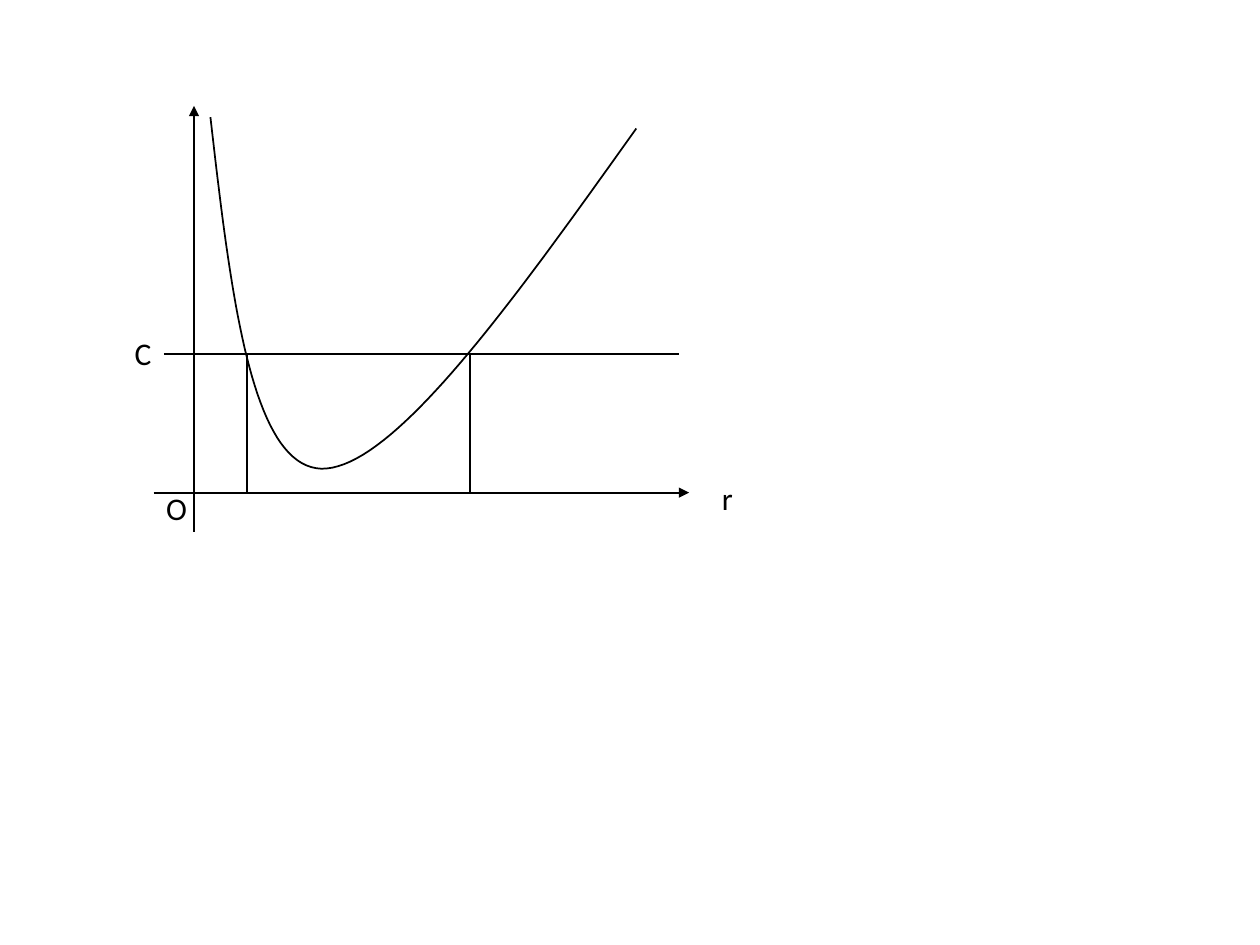
"""Draw a convex curve over r, cut at two points by the level C."""
from lxml.etree import SubElement
from pptx import Presentation
from pptx.dml.color import RGBColor
from pptx.enum.shapes import MSO_CONNECTOR
from pptx.enum.text import MSO_AUTO_SIZE
from pptx.oxml.ns import qn
from pptx.util import Inches, Pt

BLACK = RGBColor(0, 0, 0)
COLUMNS = 100
STEPS = 40

deck = Presentation()
deck.slide_width, deck.slide_height = Inches(10), Inches(7.5)
CELL = deck.slide_width / COLUMNS
slide = deck.slides.add_slide(deck.slide_layouts[6])


def grid(*cells):
    return [round(cell * CELL) for cell in cells]


def add_line(start, end, arrow=False):
    line = slide.shapes.add_connector(MSO_CONNECTOR.STRAIGHT, *grid(*start, *end))
    line.line.color.rgb = BLACK
    line.line.width = Pt(1)
    if arrow:
        SubElement(line.line._get_or_add_ln(), qn("a:tailEnd"), type="triangle")
    SubElement(line._element.spPr, qn("a:effectLst"))


axis_row, level_row, origin_column = 39.1, 28.1, 15.4
add_line((12.2, axis_row), (54.7, axis_row), arrow=True)
add_line((origin_column, 42.2), (origin_column, 8.4), arrow=True)

curve_start = (16.7, 9.3)
bezier_segments = [
    ((18.3, 23.2), (19.9, 37), (25.5, 37.2)),
    ((31.2, 37.3), (40.8, 23.8), (50.5, 10.2)),
]
curve_points = []
p0 = curve_start
for p1, p2, p3 in bezier_segments:
    for step in range(1, STEPS + 1):
        t = step / STEPS
        weights = ((1 - t) ** 3, 3 * t * (1 - t) ** 2, 3 * t**2 * (1 - t), t**3)
        x, y = (sum(w * c for w, c in zip(weights, axis)) for axis in zip(p0, p1, p2, p3))
        curve_points.append(grid(x, y))
    p0 = p3
builder = slide.shapes.build_freeform(*grid(*curve_start))
builder.add_line_segments(curve_points, close=False)
curve = builder.convert_to_shape()
curve.shadow.inherit = False
curve.fill.background()
curve.line.color.rgb = BLACK
curve.line.width = Pt(1)

add_line((13, level_row), (53.9, level_row))
for crossing_column in (37.3, 19.6):
    add_line((crossing_column, level_row), (crossing_column, axis_row))

for letter, left, top, width in (("r", 56.3, 37.5, 2.9), ("O", 12.2, 38.3, 3.7), ("C", 9.7, 26, 3.4)):
    label = slide.shapes.add_textbox(*grid(left, top, width, 4)).text_frame
    label.word_wrap = False
    label.auto_size = MSO_AUTO_SIZE.SHAPE_TO_FIT_TEXT
    paragraph = label.paragraphs[0]
    paragraph.text = letter
    paragraph.font.name = "Calibri"
    paragraph.font.size = Pt(18)
    paragraph.font.color.rgb = BLACK

deck.save("out.pptx")
